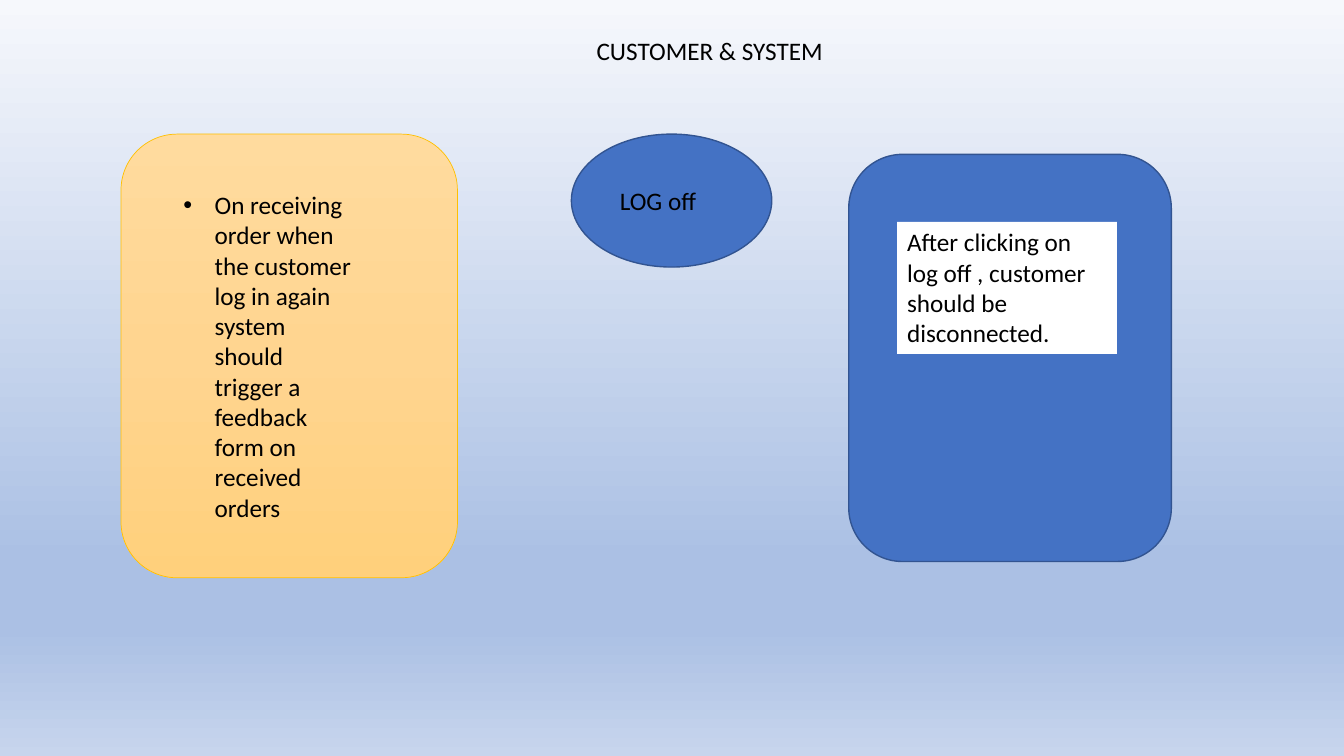
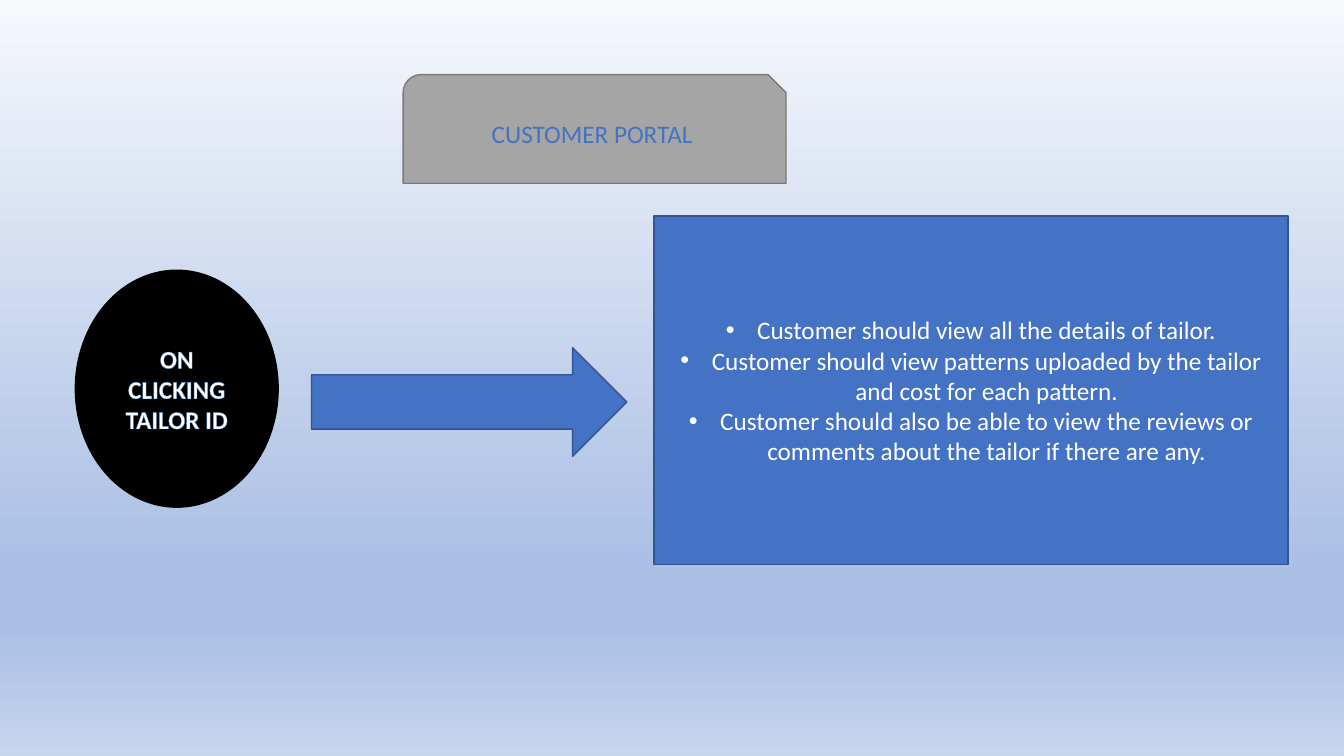
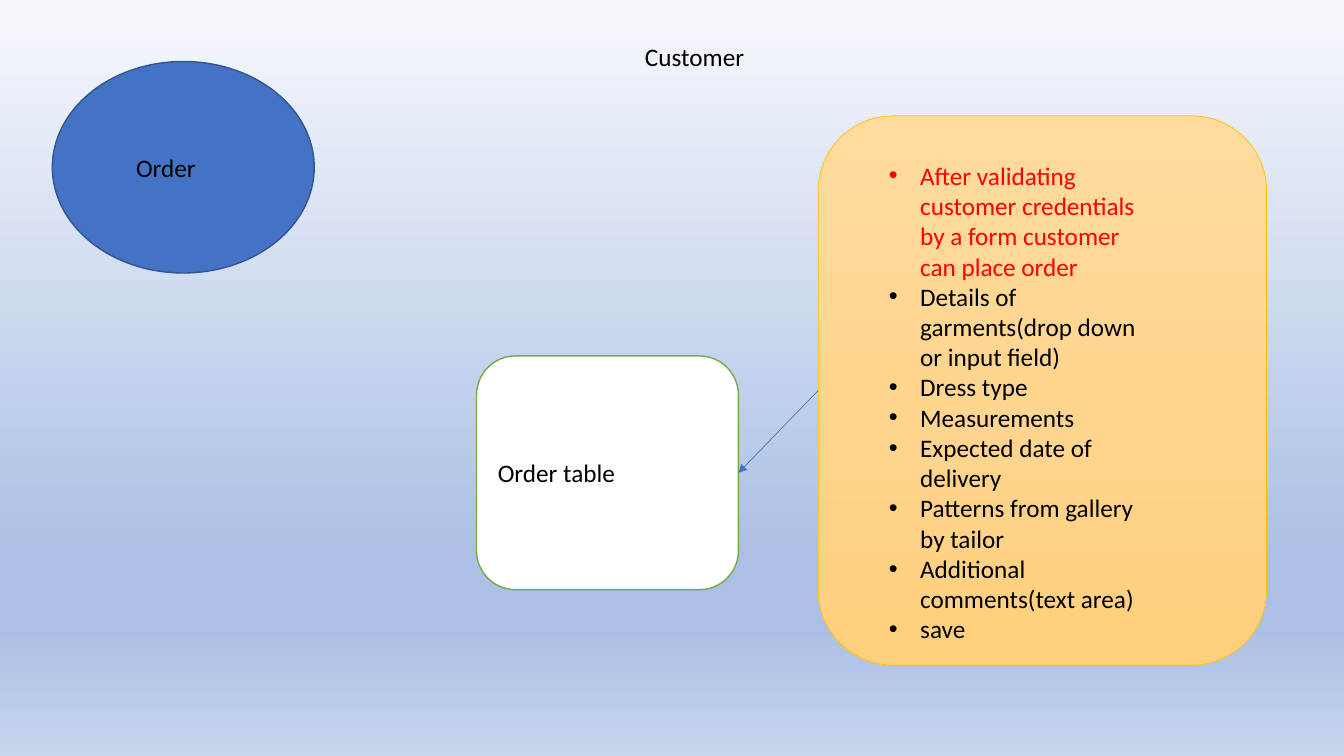
"""Build three slides on the customer side of a tailoring system."""
from lxml.etree import SubElement
from pptx import Presentation
from pptx.dml.color import RGBColor
from pptx.enum.shapes import MSO_CONNECTOR as Connector, MSO_SHAPE as Shape
from pptx.enum.text import MSO_ANCHOR as Anchor, MSO_AUTO_SIZE as AutoSize, PP_ALIGN as Align
from pptx.oxml.ns import qn
from pptx.util import Cm, Pt

COLORS = {
    "black": "000000", "white": "FFFFFF", "red": "FF0000",
    "blue": "4472C4", "navy": "325491", "sky": "5B9BD5",
    "gray": "A5A5A5", "dark_gray": "7A7A7A", "gold": "FFC000", "green": "70AD47",
}
BACKGROUND = [(0, "F6F8FC"), (74, "ABC0E4"), (83, "ABC0E4"), (100, "C7D5ED")]
AMBER = [(0, "FFDB9E"), (50, "FFD590"), (100, "FFD07C")]
FONT = {"name": "Calibri", "size": Pt(18)}
FRAME = {"word_wrap": True, "auto_size": AutoSize.NONE}
BULLET_INDENT = {"marL": Cm(0.79), "indent": -Cm(0.79)}


def color(name):
    return RGBColor.from_string(COLORS[name])


def set_values(target, values):
    for name, value in values.items():
        setattr(target, name, value)


def fill_gradient(fill, element, stops):
    fill.gradient()
    fill.gradient_angle = 270
    stop_list = element.find(".//" + qn("a:gsLst"))
    for stop in list(stop_list):
        stop_list.remove(stop)
    for position, value in stops:
        stop = SubElement(stop_list, qn("a:gs"), pos=str(position * 1000))
        SubElement(stop, qn("a:srgbClr"), val=value)


class Deck:
    def __init__(self):
        self.presentation = Presentation()
        set_values(self.presentation, {"slide_width": Cm(33.87), "slide_height": Cm(19.05)})
        master = self.presentation.slide_master
        fill_gradient(master.background.fill, master._element, BACKGROUND)
        self.slide = None

    def new_slide(self):
        self.slide = self.presentation.slides.add_slide(self.presentation.slide_layouts[5])

    def set_text(self, shape, texts, ink="black", align=Align.LEFT, anchor=Anchor.TOP,
                 bullets=False, bold=False, outline=None, first_ink=None):
        frame = shape.text_frame
        set_values(frame, {**FRAME, "vertical_anchor": anchor})
        for index, text in enumerate(texts):
            paragraph = frame.paragraphs[0] if index == 0 else frame.add_paragraph()
            paragraph.alignment = align
            if bullets:
                self.add_bullet(paragraph)
            run = paragraph.add_run()
            run.text = text
            set_values(run.font, {**FONT, "bold": bold})
            run.font.color.rgb = color(first_ink if first_ink and index == 0 else ink)
            if outline:
                self.outline_run(run, outline)

    def add_bullet(self, paragraph):
        properties = paragraph._p.get_or_add_pPr()
        for name, value in BULLET_INDENT.items():
            properties.set(name, str(value))
        SubElement(properties, qn("a:buFont"), typeface="Arial")
        SubElement(properties, qn("a:buChar"), char="•")

    def outline_run(self, run, name):
        properties = run._r.get_or_add_rPr()
        line = SubElement(properties, qn("a:ln"), w=str(Pt(0.8)))
        SubElement(SubElement(line, qn("a:solidFill")), qn("a:srgbClr"), val=COLORS[name])
        properties.insert(0, line)

    def title(self, text, left, top, width, height=1.02, **style):
        shape = self.slide.shapes.title
        set_values(shape, {"left": Cm(left), "top": Cm(top),
                           "width": Cm(width), "height": Cm(height)})
        self.slide.shapes._spTree.append(shape._element)
        self.set_text(shape, [text], **style)

    def text(self, texts, left, top, width, height=1.02, **style):
        box = self.slide.shapes.add_textbox(Cm(left), Cm(top), Cm(width), Cm(height))
        self.set_text(box, texts, **style)

    def shape(self, kind, left, top, width, height, fill="blue", line="navy",
              weight=1, texts=(), **style):
        shape = self.slide.shapes.add_shape(kind, Cm(left), Cm(top), Cm(width), Cm(height))
        shape.shadow.inherit = False
        if isinstance(fill, list):
            fill_gradient(shape.fill, shape._element, fill)
        else:
            shape.fill.solid()
            shape.fill.fore_color.rgb = color(fill)
        if line:
            shape.line.color.rgb = color(line)
            shape.line.width = Pt(weight)
        else:
            shape.line.fill.background()
        if texts:
            self.set_text(shape, texts, **style)
        return shape

    def amber_panel(self, left, top, width, height):
        return self.shape(Shape.ROUNDED_RECTANGLE, left, top, width, height,
                          fill=AMBER, line="gold", weight=0.5)

    def arrow(self, start, start_site, end, end_site):
        connector = self.slide.shapes.add_connector(Connector.STRAIGHT, 0, 0, 0, 0)
        connector.begin_connect(start, start_site)
        connector.end_connect(end, end_site)
        connector.line.color.rgb = color("blue")
        connector.line.width = Pt(0.5)
        SubElement(connector.line._get_or_add_ln(), qn("a:tailEnd"), type="triangle")
        SubElement(connector._element.spPr, qn("a:effectLst"))


def build_log_off(deck):
    deck.new_slide()
    deck.title("CUSTOMER & SYSTEM", 14.78, 0.76, 6.45)
    deck.amber_panel(3.05, 3.38, 8.48, 11.18)
    deck.text(["On receiving order when the customer log in again system should "
               "trigger a feedback form on received orders"],
              4.37, 4.65, 4.8, 9.5, bullets=True)
    deck.shape(Shape.OVAL, 14.4, 3.38, 5.05, 3.35)
    deck.text(["LOG off"], 15.37, 4.55, 3.12)
    deck.shape(Shape.ROUNDED_RECTANGLE, 21.39, 3.89, 8.13, 10.26)
    deck.shape(Shape.RECTANGLE, 22.61, 5.59, 5.54, 3.33, fill="white", line=None,
               texts=["After clicking on log off , customer should be disconnected."])


def build_portal(deck):
    centered = {"align": Align.CENTER, "anchor": Anchor.MIDDLE}
    deck.new_slide()
    deck.shape(Shape.RECTANGLE, 16.48, 5.44, 15.98, 8.79, ink="white", bullets=True,
               texts=["Customer should view all the details of tailor.",
                      "Customer should view patterns uploaded by the tailor "
                      "and cost for each pattern.",
                      "Customer should also be able to view the reviews or comments "
                      "about the tailor if there are any."], **centered)
    deck.shape(Shape.SNIP_ROUND_RECTANGLE, 10.16, 1.88, 9.65, 2.74,
               fill="gray", line="dark_gray")
    deck.title("CUSTOMER PORTAL", 10.1, 1.98, 9.65, 2.74, ink="blue", **centered)
    deck.shape(Shape.OVAL, 1.9, 6.81, 5.11, 5.97, fill="black", line="black",
               texts=["ON CLICKING TAILOR ID"], ink="white", bold=True,
               outline="sky", **centered)
    deck.shape(Shape.RIGHT_ARROW, 7.85, 8.76, 7.95, 2.74)


def build_order(deck):
    deck.new_slide()
    deck.title("Customer", 16, 0.91, 3.78)
    deck.shape(Shape.OVAL, 1.32, 1.55, 6.6, 5.33)
    deck.text(["Order"], 3.18, 3.71, 3.81)
    form = deck.amber_panel(20.62, 2.92, 11.3, 13.84)
    deck.text(["After validating customer credentials by a form customer can place order",
               "Details of garments(drop down or input field)",
               "Dress type",
               "Measurements",
               "Expected date of delivery",
               "Patterns from gallery by tailor",
               "Additional comments(text area)",
               "save"], 22.15, 3.91, 7.32, 13.34, bullets=True, first_ink="red")
    table = deck.shape(Shape.ROUNDED_RECTANGLE, 12.01, 8.97, 6.6, 5.89, fill="white",
                       line="green", texts=["Order table"], anchor=Anchor.MIDDLE)
    deck.arrow(form, 1, table, 3)


def main():
    deck = Deck()
    for build in (build_log_off, build_portal, build_order):
        build(deck)
    deck.presentation.save("out.pptx")


if __name__ == "__main__":
    main()
